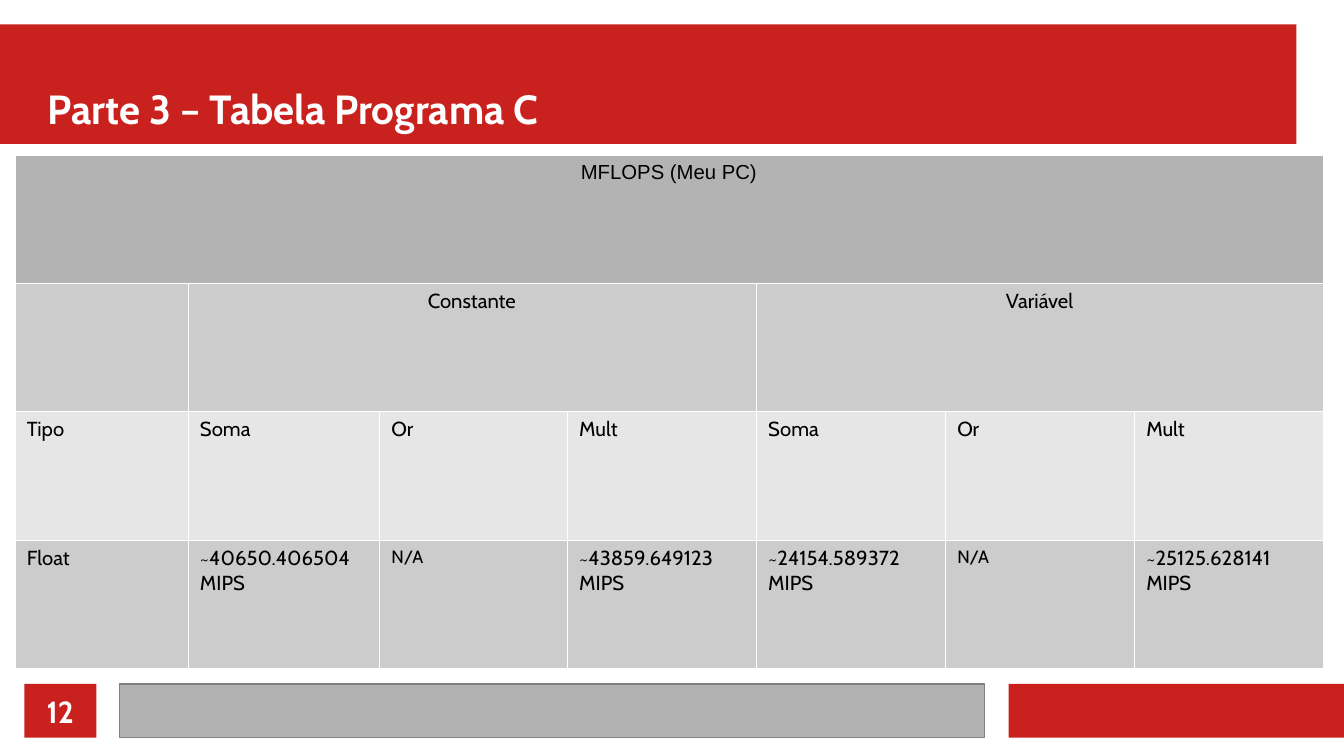
import pptx
import pptx.util
import pptx.dml.color
import pptx.enum.shapes
import pptx.enum.text
import pptx.oxml.ns
from lxml import etree

Inches, Pt = pptx.util.Inches, pptx.util.Pt
RGB = pptx.dml.color.RGBColor.from_string
ALIGN = pptx.enum.text.PP_ALIGN
ANCHOR = pptx.enum.text.MSO_ANCHOR

TITLE = "Parte 3 – Tabela Programa C"
PAGE = "12"
ROWS = [
    ["MFLOPS (Meu PC)"] + [""] * 6,
    ["", "Constante", "", "", "Variável", "", ""],
    ["Tipo"] + ["Soma", "Or", "Mult"] * 2,
    ["Float", "~40650.406504 MIPS", "N/A", "~43859.649123 MIPS",
     "~24154.589372 MIPS", "N/A", "~25125.628141 MIPS"],
]
MERGES = [(0, 0, 6), (1, 1, 3), (1, 4, 6)]  # row, first column, last column
COL_WIDTHS = [1.42, 1.57, 1.54] + [1.55] * 4
ROW_HEIGHTS = [1.05, 1.05, 1.06, 1.05]
TABLE_LEFT, TABLE_TOP = 0.12, 1.27
FOOTER_TOP, FOOTER_HEIGHT = 5.61, 0.44

THEME = {
    "font": "Cabin", "header_font": "Arial",
    "red": "C9211E", "gray": "B2B2B2", "outline": "808080",
    "white": "FFFFFF", "black": "000000",
    "rows": ["B3B3B3", "CCCCCC", "E6E6E6", "CCCCCC"],
    "title": 24, "page": 18, "cell": 12, "small": 10.5, "border": 0.06,
}


def write(tf, text, size, color, font=THEME["font"], bold=False, align=ALIGN.LEFT):
    p = tf.paragraphs[0]
    p.alignment = align
    r = p.add_run()
    r.text = text
    r.font.name, r.font.size, r.font.bold = font, Pt(size), bold
    r.font.color.rgb = RGB(color)


def clear_margins(tf, anchor):
    tf.margin_left = tf.margin_top = tf.margin_right = tf.margin_bottom = 0
    tf.vertical_anchor = anchor
    tf.word_wrap = True


def add_bar(s, left, top, width, height, fill, outline=None):
    sp = s.shapes.add_shape(pptx.enum.shapes.MSO_SHAPE.RECTANGLE, Inches(left),
                            Inches(top), Inches(width), Inches(height))
    sp.shadow.inherit = False
    sp.fill.solid()
    sp.fill.fore_color.rgb = RGB(fill)
    if outline:
        sp.line.color.rgb = RGB(outline)
        sp.line.width = 0
    else:
        sp.line.fill.background()
    return sp


def style_cell(cell, fill):
    """Draw the four borders, then the fill, in the order the schema asks for."""
    tc_pr = cell._tc.get_or_add_tcPr()
    for side in ("a:lnL", "a:lnR", "a:lnT", "a:lnB"):
        ln = etree.SubElement(tc_pr, pptx.oxml.ns.qn(side), w=str(int(Pt(THEME["border"]))))
        solid = etree.SubElement(ln, pptx.oxml.ns.qn("a:solidFill"))
        etree.SubElement(solid, pptx.oxml.ns.qn("a:srgbClr"), val=THEME["white"])
    cell.fill.solid()
    cell.fill.fore_color.rgb = RGB(fill)


def add_results_table(s):
    table = s.shapes.add_table(
        len(ROWS), len(COL_WIDTHS), Inches(TABLE_LEFT), Inches(TABLE_TOP),
        Inches(sum(COL_WIDTHS)), Inches(sum(ROW_HEIGHTS))).table
    for column, width in zip(table.columns, COL_WIDTHS):
        column.width = Inches(width)
    for row, height in zip(table.rows, ROW_HEIGHTS):
        row.height = Inches(height)
    for row, first, last in MERGES:
        table.cell(row, first).merge(table.cell(row, last))
    for i, texts in enumerate(ROWS):
        for j, text in enumerate(texts):
            cell = table.cell(i, j)
            style_cell(cell, THEME["rows"][i])
            if text:
                write(cell.text_frame, text,
                      THEME["small" if text == "N/A" else "cell"], THEME["black"],
                      font=THEME["header_font" if i == 0 else "font"],
                      align=ALIGN.CENTER if cell.is_merge_origin else ALIGN.LEFT)


def main():
    prs = pptx.Presentation()
    prs.slide_width, prs.slide_height = Inches(11.02), Inches(6.2)
    s = prs.slides.add_slide(prs.slide_layouts[6])

    add_bar(s, 0, 0.2, 10.63, 0.98, THEME["red"])
    add_bar(s, 8.27, FOOTER_TOP, 2.75, FOOTER_HEIGHT, THEME["red"])
    add_bar(s, 0.98, FOOTER_TOP, 7.09, FOOTER_HEIGHT, THEME["gray"], THEME["outline"])
    page = add_bar(s, 0.2, FOOTER_TOP, 0.59, FOOTER_HEIGHT, THEME["red"])
    clear_margins(page.text_frame, ANCHOR.MIDDLE)
    write(page.text_frame, PAGE, THEME["page"], THEME["white"], bold=True,
          align=ALIGN.CENTER)

    title = s.shapes.add_textbox(Inches(0.39), Inches(0.3), Inches(10.24), Inches(0.79))
    clear_margins(title.text_frame, ANCHOR.BOTTOM)
    write(title.text_frame, TITLE, THEME["title"], THEME["white"], bold=True)

    add_results_table(s)
    prs.save("out.pptx")


if __name__ == "__main__":
    main()
